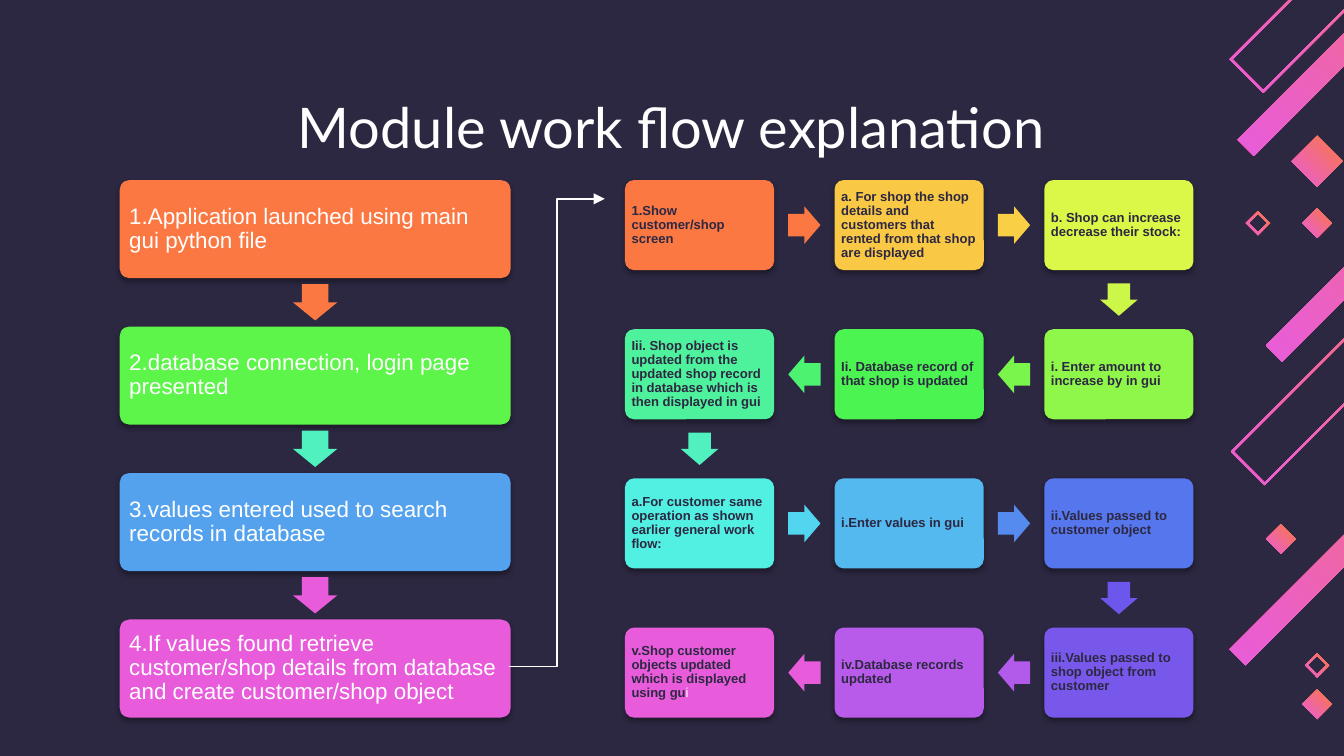
"""Build the module work flow slide: two chains of steps beside a diagonal decoration."""
from pptx import Presentation
from pptx.dml.color import RGBColor
from pptx.enum.shapes import MSO_CONNECTOR, MSO_SHAPE
from pptx.enum.text import MSO_ANCHOR, PP_ALIGN
from pptx.oxml import parse_xml
from pptx.oxml.ns import nsdecls, qn
from pptx.util import Inches, Pt

BOX, ARROW = MSO_SHAPE.ROUNDED_RECTANGLE, MSO_SHAPE.RIGHT_ARROW
ELBOW = MSO_CONNECTOR.ELBOW
TOP, MIDDLE = MSO_ANCHOR.TOP, MSO_ANCHOR.MIDDLE
LEFT, CENTER = PP_ALIGN.LEFT, PP_ALIGN.CENTER

DARK, WHITE, ORANGE, PINK = "2D2842", "FFFFFF", "FB7843", "E85CDB"
TITLE = "Module work flow explanation"

MAIN_STEPS = [
    ("1.Application launched using main gui python file", ORANGE, ORANGE),
    ("2.database connection, login page presented", "5EF54B", "50F1BF"),
    ("3.values entered used to search records in database", "54A2EE", PINK),
    ("4.If values found retrieve customer/shop details from database "
     "and create customer/shop object", PINK, None),
]
DETAIL_STEPS = [
    ("1.Show customer/shop screen", ORANGE, ORANGE),
    ("a. For shop the shop details and customers that rented from that shop "
     "are displayed", "F9C845", "F9CF46"),
    ("b. Shop can increase decrease their stock:", "DBF748", "CCF748"),
    ("i. Enter amount to increase by in gui", "8FF64A", "79F54B"),
    ("Ii. Database record of that shop is updated", "4CF452", "4DF370"),
    ("Iii. Shop object is updated from the updated shop record in database "
     "which is then displayed in gui", "4FF29C", "50F1BF"),
    ("a.For customer same operation as shown earlier general work flow:",
     "51F0E2", "52D5EF"),
    ("i.Enter values in gui", "53B9EF", "558AEE"),
    ("ii.Values passed to customer object", "5576ED", "6B57EC"),
    ("iii.Values passed to shop object from customer", "7858EB", "B25AEA"),
    ("iv.Database records updated", "B85AEA", PINK),
    ("v.Shop customer objects updated which is displayed using gu", PINK, None),
]
MAIN = dict(cols=1, x=0.89, y=1.34, w=2.91, h=0.73, dx=0, dy=1.09,
            arrow=(0.27, 0.33), inset=0.05, size=12, color=WHITE, bold=False)
DETAIL = dict(cols=3, x=4.65, y=1.34, w=1.11, h=0.67, dx=1.56, dy=1.11,
              arrow=(0.24, 0.28), inset=0.03, size=7, color=DARK, bold=True)

BARS = [
    (9.15, 0.44, 1.95, 0.25, True), (9.21, 1.04, 2.35, 0.12, False),
    (9.61, 1.2, 0.19, 0.19, False), (9.71, 4.95, 0.09, 0.09, True),
    (9.27, 1.66, 0.09, 0.09, True), (9.16, 3.36, 1.95, 0.25, True),
    (9.15, 4.83, 2.35, 0.12, False), (9.42, 2.57, 2.35, 0.12, False),
    (9.69, 5.24, 0.11, 0.11, False), (9.69, 1.66, 0.11, 0.11, False),
    (9.42, 4.01, 0.11, 0.11, False),
]
BORDER = 0.02
TURNS = {(1, 0): 0, (0, 1): 90, (-1, 0): 180}


def rgb(value):
    return RGBColor.from_string(value)


def add_bar(s, x, y, up, down, hollow):
    def corners(inset):
        left, u, d = x + inset, up - inset, down - inset
        points = [(left, y), (left + u, y - u), (left + u + d, y - u + d), (left + d, y + d)]
        return [(Inches(px), Inches(py)) for px, py in points]

    outer = corners(0)
    fb = s.shapes.build_freeform(*outer[0])
    fb.add_line_segments(outer[1:])
    if hollow:
        inner = corners(BORDER)[::-1]
        fb.move_to(*inner[0])
        fb.add_line_segments(inner[1:])
    sp = fb.convert_to_shape()
    sp.shadow.inherit = False
    sp.line.fill.background()
    sp.fill.gradient()
    sp.fill.gradient_angle = 225
    for stop, color in zip(sp.fill.gradient_stops, (ORANGE, PINK)):
        stop.color.rgb = rgb(color)


def add_solid(s, kind, x, y, w, h, color):
    sp = s.shapes.add_shape(kind, Inches(x), Inches(y), Inches(w), Inches(h))
    sp.shadow.inherit = False
    sp.fill.solid()
    sp.fill.fore_color.rgb = rgb(color)
    sp.line.fill.background()
    return sp


def set_text(sp, text, inset, anchor, align, font, size, color, bold=False):
    tf = sp.text_frame
    tf.word_wrap = True
    tf.vertical_anchor = anchor
    tf.margin_left = tf.margin_right = tf.margin_top = tf.margin_bottom = Inches(inset)
    p = tf.paragraphs[0]
    p.text = text
    p.alignment = align
    p.font.name, p.font.size, p.font.bold = font, Pt(size), bold
    p.font.color.rgb = rgb(color)
    return p


def add_shadow(sp):
    sp._element.spPr.find(qn("a:effectLst")).append(parse_xml(
        f'<a:outerShdw {nsdecls("a")} blurRad="{Pt(3.1)}" dist="{Pt(1.8)}" dir="5400000" '
        'rotWithShape="0"><a:srgbClr val="000000"><a:alpha val="35000"/></a:srgbClr>'
        '</a:outerShdw>'))


def add_chain(s, steps, cols, x, y, w, h, dx, dy, arrow, inset, size, color, bold):
    def cell(i):
        row, col = divmod(i, cols)
        return (cols - 1 - col if row % 2 else col), row

    aw, ah = arrow
    for i, (text, fill, arrow_fill) in enumerate(steps):
        col, row = cell(i)
        left, top = x + col * dx, y + row * dy
        sp = add_solid(s, BOX, left, top, w, h, fill)
        sp.adjustments[0] = 0.1
        add_shadow(sp)
        p = set_text(sp, text, inset, MIDDLE, LEFT, "Arial", size, color, bold)
        p.line_spacing = 0.9
        if arrow_fill:
            next_col, next_row = cell(i + 1)
            step_x, step_y = next_col - col, next_row - row
            cx, cy = left + (w + step_x * dx) / 2, top + (h + step_y * dy) / 2
            a = add_solid(s, ARROW, cx - aw / 2, cy - ah / 2, aw, ah, arrow_fill)
            a.adjustments[0], a.adjustments[1] = 0.6, 0.5
            a.rotation = TURNS[step_x, step_y]
    return p


def add_link(s, x1, y1, x2, y2):
    c = s.shapes.add_connector(ELBOW, Inches(x1), Inches(y1), Inches(x2), Inches(y2))
    c.line.color.rgb = rgb(WHITE)
    c.line.width = Pt(0.75)
    spPr = c._element.spPr
    spPr.find(qn("a:ln")).append(parse_xml(f'<a:tailEnd {nsdecls("a")} type="triangle"/>'))
    spPr.append(parse_xml(f'<a:effectLst {nsdecls("a")}/>'))


def main():
    prs = Presentation()
    prs.slide_width, prs.slide_height = Inches(10), Inches(10 * 9 / 16)
    s = prs.slides.add_slide(prs.slide_layouts[5])
    s.background.fill.solid()
    s.background.fill.fore_color.rgb = rgb(DARK)

    for bar in BARS:
        add_bar(s, *bar)

    title = s.shapes.title
    title.left, title.top = Inches(0.65), Inches(0.59)
    title.width, title.height = Inches(8.69), Inches(0.63)
    set_text(title, TITLE, 0.1, TOP, CENTER, "Lato", 30, WHITE)

    add_chain(s, MAIN_STEPS, **MAIN)
    add_link(s, 3.79, 4.96, 4.5, 1.48)
    r = add_chain(s, DETAIL_STEPS, **DETAIL).add_run()
    r.text = "i"
    r.font.bold = False
    r.font.color.rgb = rgb(WHITE)

    prs.save("out.pptx")


if __name__ == "__main__":
    main()
